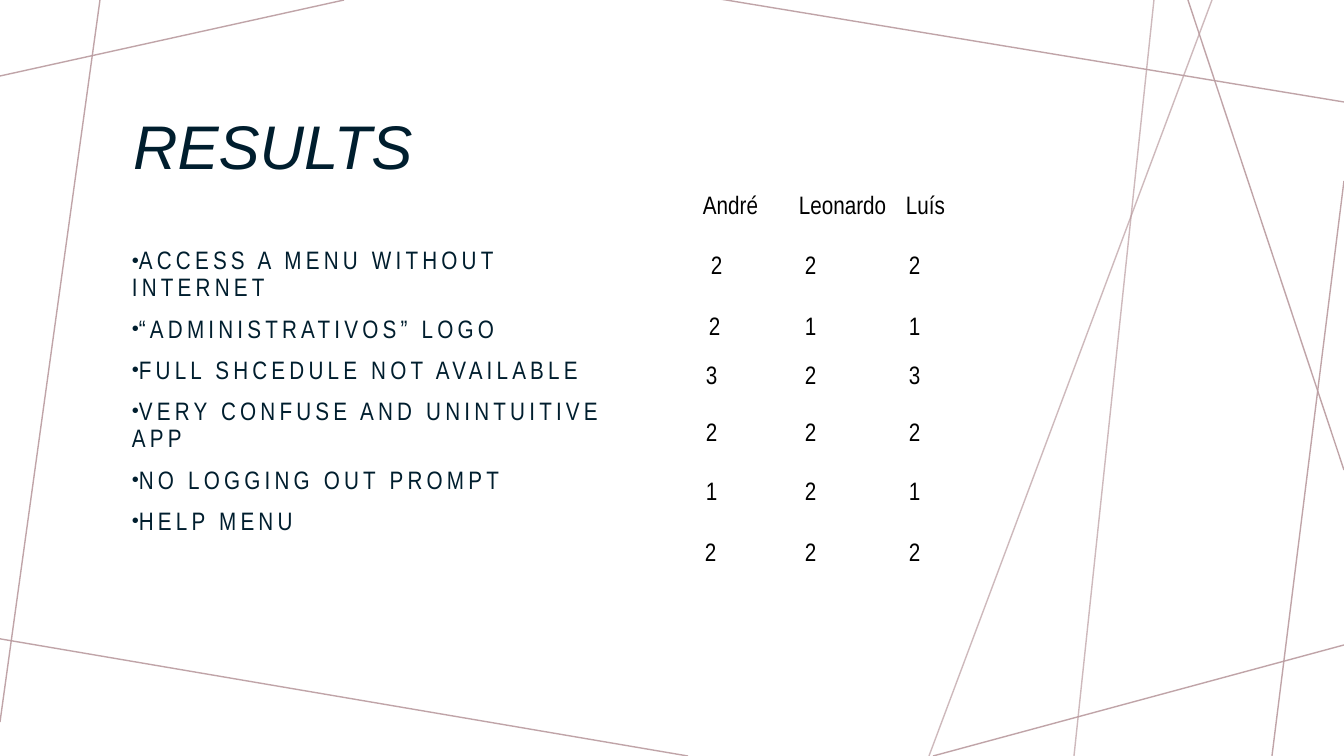
"""Build the results slide: six findings scored by three people."""
from lxml import etree
from pptx import Presentation
from pptx.dml.color import RGBColor
from pptx.enum.shapes import MSO_CONNECTOR
from pptx.enum.text import MSO_ANCHOR, MSO_AUTO_SIZE, PP_ALIGN
from pptx.oxml.ns import qn
from pptx.util import Pt

STRAIGHT = MSO_CONNECTOR.STRAIGHT
TOP, MIDDLE = MSO_ANCHOR.TOP, MSO_ANCHOR.MIDDLE
NO_FIT, GROW = MSO_AUTO_SIZE.NONE, MSO_AUTO_SIZE.SHAPE_TO_FIT_TEXT
LEFT = PP_ALIGN.LEFT

THEME = {
    "navy": RGBColor.from_string("001E2E"),
    "black": RGBColor.from_string("000000"),
    "line": RGBColor.from_string("BA9CA0"),
    "head_font": "Arial",
    "body_font": "Arial Narrow",
    "title": Pt(44),
    "body": Pt(18),
    "rule": Pt(1),
}

FRAME_LINES = [
    (344, 0, 0, 76),
    (100, 0, 0, 722),
    (688, 756, -5, 638),
    (1344, 645, 933, 756),
    (1344, 181, 1272, 756),
    (1344, 470, 1188, 0),
    (1344, 102, 720, -1),
]
ACCENT_LINES = [(929, 756, 1212, 0), (1074, 756, 1154, 0)]

FINDINGS = [
    "ACCESS A MENU WITHOUT INTERNET",
    "“ADMINISTRATIVOS” LOGO",
    "FULL SHCEDULE NOT AVAILABLE",
    "VERY CONFUSE AND UNINTUITIVE APP",
    "NO LOGGING OUT PROMPT",
    "HELP MENU",
]
PEOPLE = [("André", 693, 81), ("Leonardo", 789, 115), ("Luís", 896, 74)]
SCORE_LEFTS = [696, 795, 899]
SCORE_ROWS = [
    (244, "222"),
    (305, "211"),
    (354, "323"),
    (411, "222"),
    (470, "121"),
    (531, "222"),
]
FIRST_COLUMN_SHIFTS = [5, 3, 0, 0, 0, -1]


def px(*lengths):
    return [round(n * 12192000 / 1344) for n in lengths]


def add_run(p, text, font, size, color):
    r = p.add_run()
    r.text = text
    r.font.name, r.font.size = font, size
    r.font.color.rgb = color
    return r


prs = Presentation()
prs.slide_width, prs.slide_height = px(1344, 756)
s = prs.slides.add_slide(prs.slide_layouts[5])

for lines, opacity in ((FRAME_LINES, 91), (ACCENT_LINES, 70)):
    for ends in lines:
        line = s.shapes.add_connector(STRAIGHT, *px(*ends))
        line.line.color.rgb = THEME["line"]
        line.line.width = THEME["rule"]
        color = line.line._ln.find(".//" + qn("a:srgbClr"))
        etree.SubElement(color, qn("a:alpha"), val=str(opacity * 1000))
        etree.SubElement(line._element.spPr, qn("a:effectLst"))

title = s.shapes.title
title.left, title.top, title.width, title.height = px(123, 58, 499, 184)
tf = title.text_frame
tf.word_wrap, tf.auto_size, tf.vertical_anchor = True, NO_FIT, MIDDLE
p = tf.paragraphs[0]
p.alignment, p.line_spacing = LEFT, 0.9
r = add_run(p, "RESULTS", THEME["head_font"], THEME["title"], THEME["navy"])
r.font.italic = True

sp = s.shapes.add_textbox(*px(122, 243, 500, 455))
tf = sp.text_frame
tf.word_wrap, tf.auto_size, tf.vertical_anchor = True, NO_FIT, TOP
for i, finding in enumerate(FINDINGS):
    p = tf.add_paragraph() if i else tf.paragraphs[0]
    p.line_spacing, p.space_before = 0.9, Pt(10)
    pPr = p._p.get_or_add_pPr()
    pPr.set("marL", "0")
    pPr.set("indent", "-228600")
    etree.SubElement(pPr, qn("a:buSzPct"), val="80000")
    etree.SubElement(pPr, qn("a:buFont"), typeface="Arial")
    etree.SubElement(pPr, qn("a:buChar"), char="•")
    r = add_run(p, finding, THEME["body_font"], THEME["body"], THEME["navy"])
    r.font._element.set("spc", "300")

cells = [(name, left, 184, width) for name, left, width in PEOPLE]
for (top, scores), shift in zip(SCORE_ROWS, FIRST_COLUMN_SHIFTS):
    for score, left, nudge in zip(scores, SCORE_LEFTS, (shift, 0, 0)):
        cells.append((score, left + nudge, top, 54))

for text, left, top, width in cells:
    sp = s.shapes.add_textbox(*px(left, top, width, 40))
    tf = sp.text_frame
    tf.word_wrap, tf.auto_size = True, GROW
    p = tf.paragraphs[0]
    add_run(p, text, THEME["body_font"], THEME["body"], THEME["black"])

prs.save("out.pptx")
